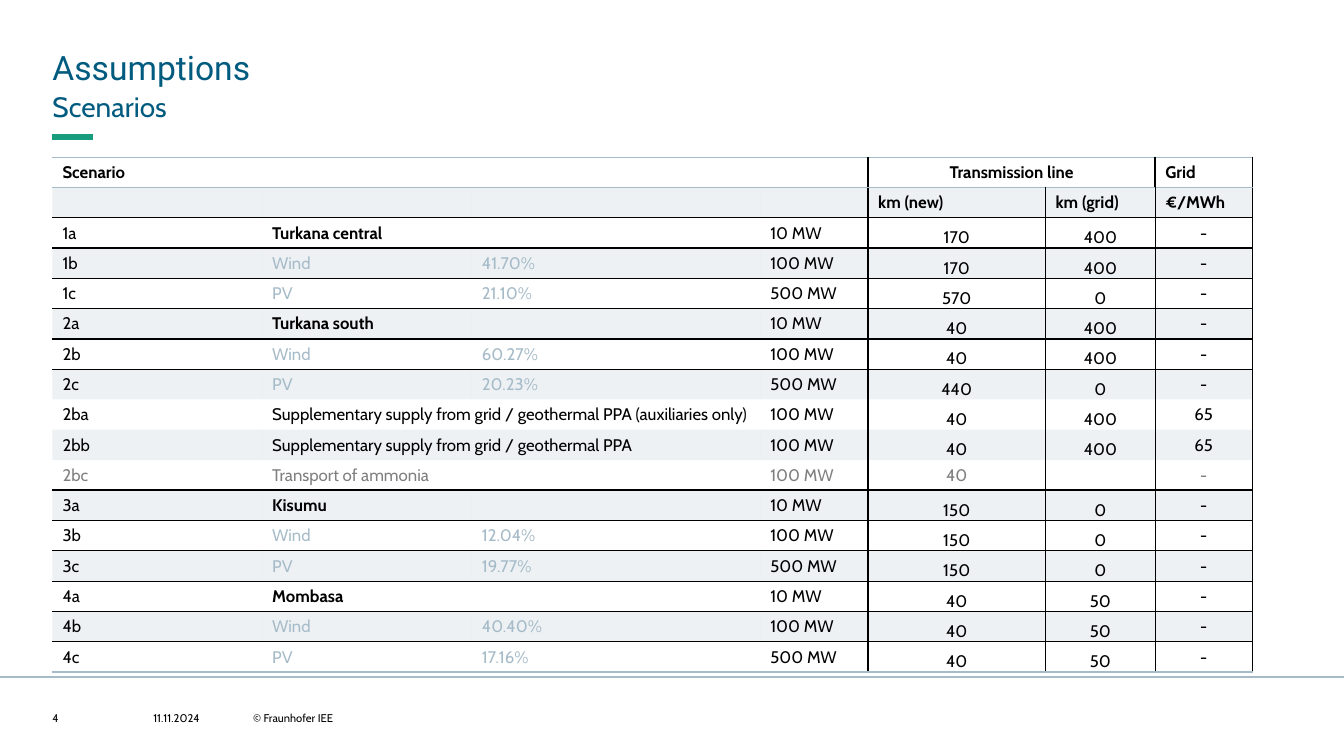
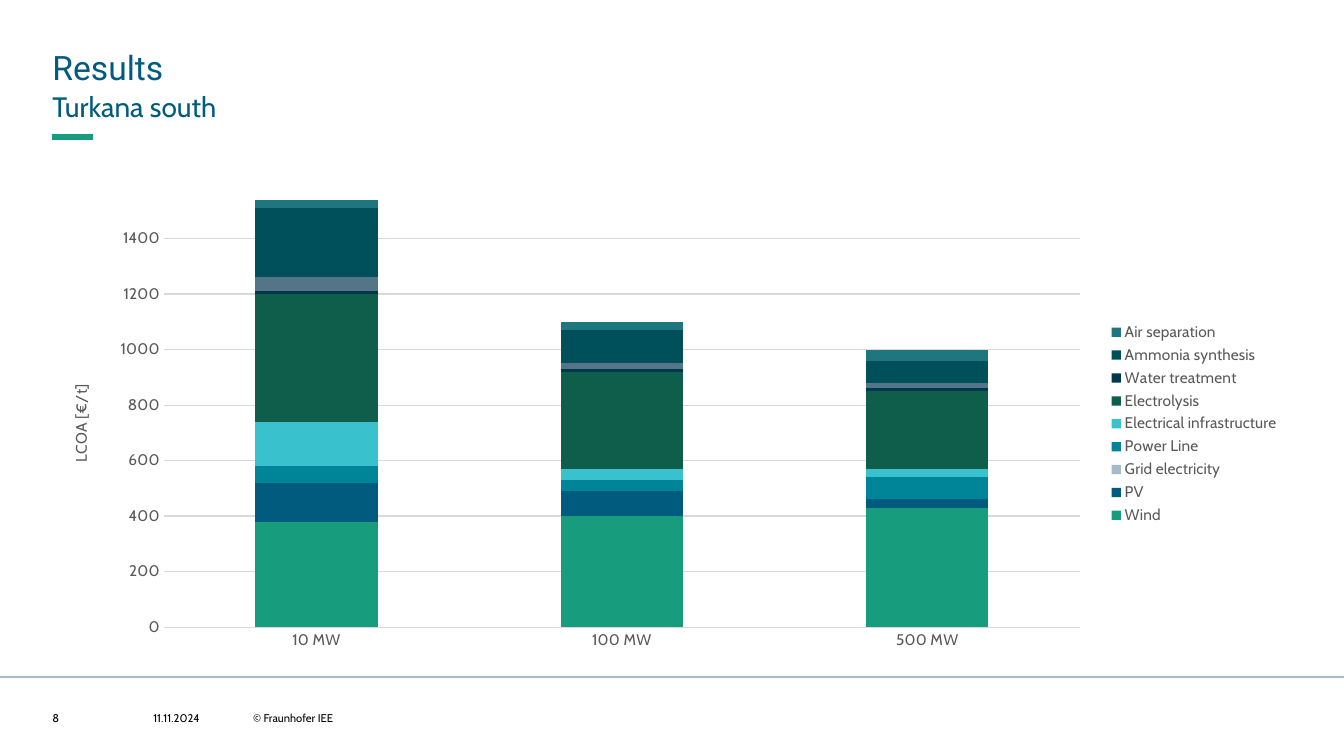
from dataclasses import dataclass

from lxml.etree import SubElement
from pptx import Presentation
from pptx.chart.data import CategoryChartData
from pptx.dml.color import RGBColor
from pptx.enum.chart import XL_CHART_TYPE, XL_LEGEND_POSITION, XL_TICK_MARK
from pptx.enum.shapes import MSO_CONNECTOR
from pptx.enum.text import MSO_ANCHOR, PP_ALIGN
from pptx.oxml import parse_xml
from pptx.oxml.ns import nsdecls, qn
from pptx.util import Inches, Pt


@dataclass(frozen=True)
class Theme:
    green: str = "179C7D"
    blue: str = "005B7F"
    mist: str = "A6BBC8"
    black: str = "000000"
    muted: str = "808080"
    label: str = "595959"
    grid: str = "D9D9D9"
    head_font: str = "Roboto"
    body_font: str = "Cabin"
    title_size: int = 24
    subtitle_size: int = 20
    table_size: int = 12
    chart_size: int = 11
    footer_size: int = 8
    band_alpha: int = 20000
    no_style: str = "{2D5ABB26-0587-4C30-8999-92F81FD0307C}"


def rgb(color):
    return RGBColor.from_string(color)


class Deck:
    def __init__(self, theme):
        self.theme = theme
        self.prs = Presentation()
        self.prs.slide_width = Inches(13.33)
        self.prs.slide_height = Inches(7.5)
        self.s = None

    def font(self, font, size, color, name=None, bold=False):
        font.name = name or self.theme.body_font
        font.size = Pt(size)
        font.bold = bold
        font.color.rgb = rgb(color)

    def slide(self, number, title, subtitle):
        t = self.theme
        self.s = self.prs.slides.add_slide(self.prs.slide_layouts[6])
        self.rule(0.52, 0.92, 1.36, t.green, 4)
        self.rule(0, 13.33, 6.72, t.mist, 1.5)
        self.text(title, 0.52, 0.43, 12.28, 0.42, t.title_size, t.blue, t.head_font, 1.1)
        self.text(subtitle, 0.52, 0.85, 12.28, 0.35, t.subtitle_size, t.blue, spacing=1.1)
        for text, left, width in ((str(number), 0.52, 0.79), ("11.11.2024", 1.52, 0.79),
                                  ("© Fraunhofer IEE", 2.51, 3.23)):
            self.text(text, left, 7.06, width, 0.13, t.footer_size, t.black,
                      anchor=MSO_ANCHOR.MIDDLE)

    def rule(self, left, right, top, color, width):
        line = self.s.shapes.add_connector(MSO_CONNECTOR.STRAIGHT, Inches(left), Inches(top),
                                           Inches(right), Inches(top))
        line.line.color.rgb = rgb(color)
        line.line.width = Pt(width)
        SubElement(line._element.spPr, qn("a:effectLst"))

    def text(self, text, left, top, width, height, size, color, name=None, spacing=None,
             anchor=MSO_ANCHOR.TOP):
        sp = self.s.shapes.add_textbox(Inches(left), Inches(top), Inches(width), Inches(height))
        tf = sp.text_frame
        tf.word_wrap = True
        tf.vertical_anchor = anchor
        tf.margin_left = tf.margin_right = tf.margin_top = tf.margin_bottom = 0
        p = tf.paragraphs[0]
        p.text = text
        if spacing:
            p.line_spacing = spacing
        self.font(p.font, size, color, name)

    def table(self, left, top, widths, row_height, row_count):
        frame = self.s.shapes.add_table(row_count, len(widths), Inches(left), Inches(top),
                                        Inches(sum(widths)), Inches(row_height * row_count))
        table = frame.table
        table.first_row = table.horz_banding = False
        table._tbl.tblPr.find(qn("a:tableStyleId")).text = self.theme.no_style
        for column, width in zip(table.columns, widths):
            column.width = Inches(width)
        for row in table.rows:
            row.height = Inches(row_height)
        return table

    def cell(self, cell, text, color, bold=False, align=PP_ALIGN.LEFT, sunk=False):
        p = cell.text_frame.paragraphs[0]
        if text:
            p.text = text
        else:
            p._p.get_or_add_endParaRPr().set("sz", str(self.theme.table_size * 100))
        p.alignment = align
        self.font(p.font, self.theme.table_size, color, bold=bold)
        if sunk:
            cell.vertical_anchor = MSO_ANCHOR.BOTTOM
            cell.margin_left = cell.margin_right = cell.margin_top = cell.margin_bottom = 0

    def cell_style(self, cell, borders, banded):
        tc_pr = cell._tc.get_or_add_tcPr()
        for side, border in zip("LRTB", borders):
            if border:
                color, width = border
                tc_pr.append(parse_xml(
                    f'<a:ln{side} {nsdecls("a")} w="{Pt(width)}"><a:solidFill>'
                    f'<a:srgbClr val="{color}"/></a:solidFill></a:ln{side}>'))
        if banded:
            cell.fill.solid()
            cell.fill.fore_color.rgb = rgb(self.theme.mist)
            SubElement(tc_pr.find(qn("a:solidFill"))[0], qn("a:alpha"),
                       val=str(self.theme.band_alpha))
        else:
            cell.fill.background()

    def stacked_chart(self, left, top, width, height, categories, series, axis_title,
                      maximum, step, unlisted, plot):
        t = self.theme
        data = CategoryChartData()
        data.categories = categories
        for name, _, values in series:
            data.add_series(name, values)
        chart = self.s.shapes.add_chart(XL_CHART_TYPE.COLUMN_STACKED, Inches(left), Inches(top),
                                        Inches(width), Inches(height), data).chart
        chart.has_title = False
        self.font(chart.font, t.chart_size, t.label)
        bars = chart.plots[0]
        bars.gap_width, bars.overlap = 150, 100
        bars.vary_by_categories = False
        for ser, (_, color, _) in zip(bars.series, series):
            ser.format.fill.solid()
            ser.format.fill.fore_color.rgb = rgb(color)

        cat, val = chart.category_axis, chart.value_axis
        for axis in (cat, val):
            axis.major_tick_mark = axis.minor_tick_mark = XL_TICK_MARK.NONE
            self.font(axis.tick_labels.font, t.chart_size, t.label)
        val.minimum_scale, val.maximum_scale, val.major_unit = 0, maximum, step
        val.format.line.fill.background()
        val.has_major_gridlines = True
        for line in (cat.format.line, val.major_gridlines.format.line):
            line.color.rgb = rgb(t.grid)
            line.width = Pt(0.75)
        p = val.axis_title.text_frame.paragraphs[0]
        p.text = axis_title
        self.font(p.font, t.chart_size, t.label)

        chart.has_legend = True
        legend = chart.legend
        legend.position = XL_LEGEND_POSITION.RIGHT
        legend.include_in_layout = False
        self.font(legend.font, t.chart_size, t.label)
        for idx in reversed(unlisted):
            legend._element.find(qn("c:legendPos")).addnext(parse_xml(
                f'<c:legendEntry {nsdecls("c")}><c:idx val="{idx}"/>'
                '<c:delete val="1"/></c:legendEntry>'))
        self.plot_layout(chart, plot)

    def plot_layout(self, chart, plot):
        area = chart._chartSpace.chart.plotArea
        old = area.find(qn("c:layout"))
        if old is not None:
            area.remove(old)
        sizes = "".join(f'<c:{k} val="{v}"/>' for k, v in zip("xywh", plot))
        area.insert(0, parse_xml(
            f'<c:layout {nsdecls("c")}><c:manualLayout><c:layoutTarget val="inner"/>'
            f'<c:xMode val="edge"/><c:yMode val="edge"/>{sizes}'
            '</c:manualLayout></c:layout>'))


HEADER = [
    ("Scenario", "", "", "", "Transmission line", "", "Grid"),
    ("", "", "", "", "km (new)", "km (grid)", "€/MWh"),
]
SCENARIOS = [
    ("1a", "Turkana central", "", "10 MW", "170", "400", "-"),
    ("1b", "Wind", "41.70%", "100 MW", "170", "400", "-"),
    ("1c", "PV", "21.10%", "500 MW", "570", "0", "-"),
    ("2a", "Turkana south", "", "10 MW", "40", "400", "-"),
    ("2b", "Wind", "60.27%", "100 MW", "40", "400", "-"),
    ("2c", "PV", "20.23%", "500 MW", "440", "0", "-"),
    ("2ba", "Supplementary supply from grid / geothermal PPA (auxiliaries only)", "",
     "100 MW", "40", "400", "65"),
    ("2bb", "Supplementary supply from grid / geothermal PPA", "", "100 MW", "40", "400", "65"),
    ("2bc", "Transport of ammonia", "", "100 MW", "40", "", "-"),
    ("3a", "Kisumu", "", "10 MW", "150", "0", "-"),
    ("3b", "Wind", "12.04%", "100 MW", "150", "0", "-"),
    ("3c", "PV", "19.77%", "500 MW", "150", "0", "-"),
    ("4a", "Mombasa", "", "10 MW", "40", "50", "-"),
    ("4b", "Wind", "40.40%", "100 MW", "40", "50", "-"),
    ("4c", "PV", "17.16%", "500 MW", "40", "50", "-"),
]
COSTS = [
    ("Wind", "179C7D", (380, 400, 430)),
    ("PV", "005B7F", (140, 90, 30)),
    ("Grid electricity", "A6BBC8", (None, 0, 0)),
    ("Power Line", "008598", (60, 40, 80)),
    ("Electrical infrastructure", "39C1CD", (160, 40, 30)),
    ("Series 6", "B2D235", (0, 0, 0)),
    ("Electrolysis", "0E5E4B", (460, 350, 280)),
    ("Water treatment", "00374C", (10, 10, 10)),
    ("Series 9", "547488", (50, 20, 20)),
    ("Ammonia synthesis", "00505B", (250, 120, 80)),
    ("Air separation", "20767E", (30, 30, 40)),
]


def scenario_table(deck):
    t = deck.theme
    rows = HEADER + SCENARIOS
    table = deck.table(0.52, 1.56, (2.08, 2.08, 2.86, 1.07, 1.76, 1.09, 0.96), 0.3, len(rows))
    thin, thick, pale = (t.black, 1), (t.black, 1.5), (t.mist, 1)
    across = {0: pale, 1: pale, 2: thin, 11: thick, len(rows): pale}
    across.update({r: thin for r in (3, 5, 6, 12, 14, 15)})
    down = {4: thick, 5: thin, 6: thin, 7: thin}

    for r, row in enumerate(rows):
        header, muted = r < len(HEADER), row[0] == "2bc"
        resource = row[1] in ("Wind", "PV")
        for c, text in enumerate(row):
            cell = table.cell(r, c)
            color = t.muted if muted else t.mist if resource and c in (1, 2) else t.black
            site = c == 1 and row[0].endswith("a") and row[3] == "10 MW"
            centred = c >= 4 and not header or text == "Transmission line"
            deck.cell(cell, text, color, header or site,
                      PP_ALIGN.CENTER if centred else PP_ALIGN.LEFT,
                      c in (4, 5) and not header and not muted)
            left, right = (None if r == 0 and edge == 5 else down.get(edge)
                           for edge in (c, c + 1))
            deck.cell_style(cell, (left, right, across.get(r), across.get(r + 1)), r % 2)
        if row[0].startswith("2b") and not resource:
            table.cell(r, 1).merge(table.cell(r, 2))
    table.cell(0, 4).merge(table.cell(0, 5))


def main():
    deck = Deck(Theme())
    deck.slide(4, "Assumptions", "Scenarios")
    scenario_table(deck)
    deck.slide(8, "Results", "Turkana south")
    deck.stacked_chart(0.52, 1.86, 12.28, 4.69, ("10 MW", "100 MW", "500 MW"), COSTS,
                       "LCOA [€/t]", 1550, 200, (5, 8), (0.09, 0.02, 0.74, 0.91))
    deck.prs.save("out.pptx")


if __name__ == "__main__":
    main()
